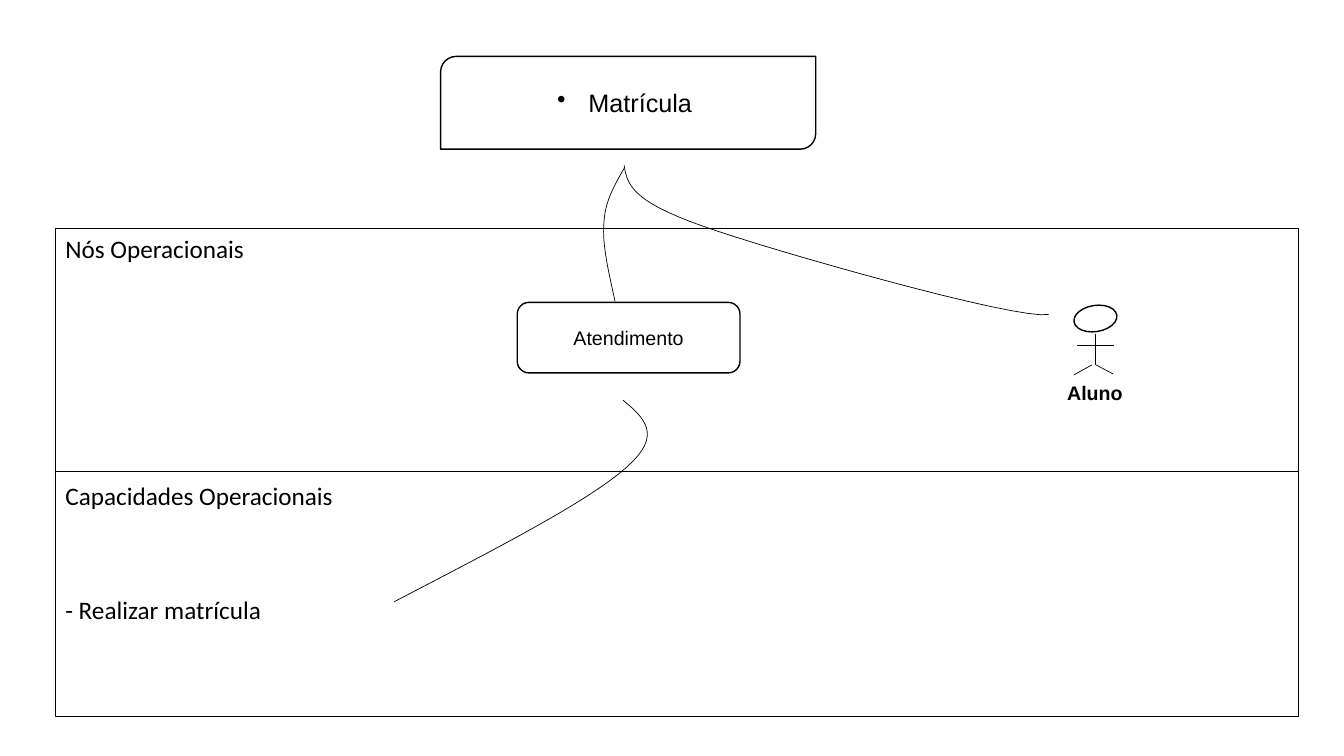
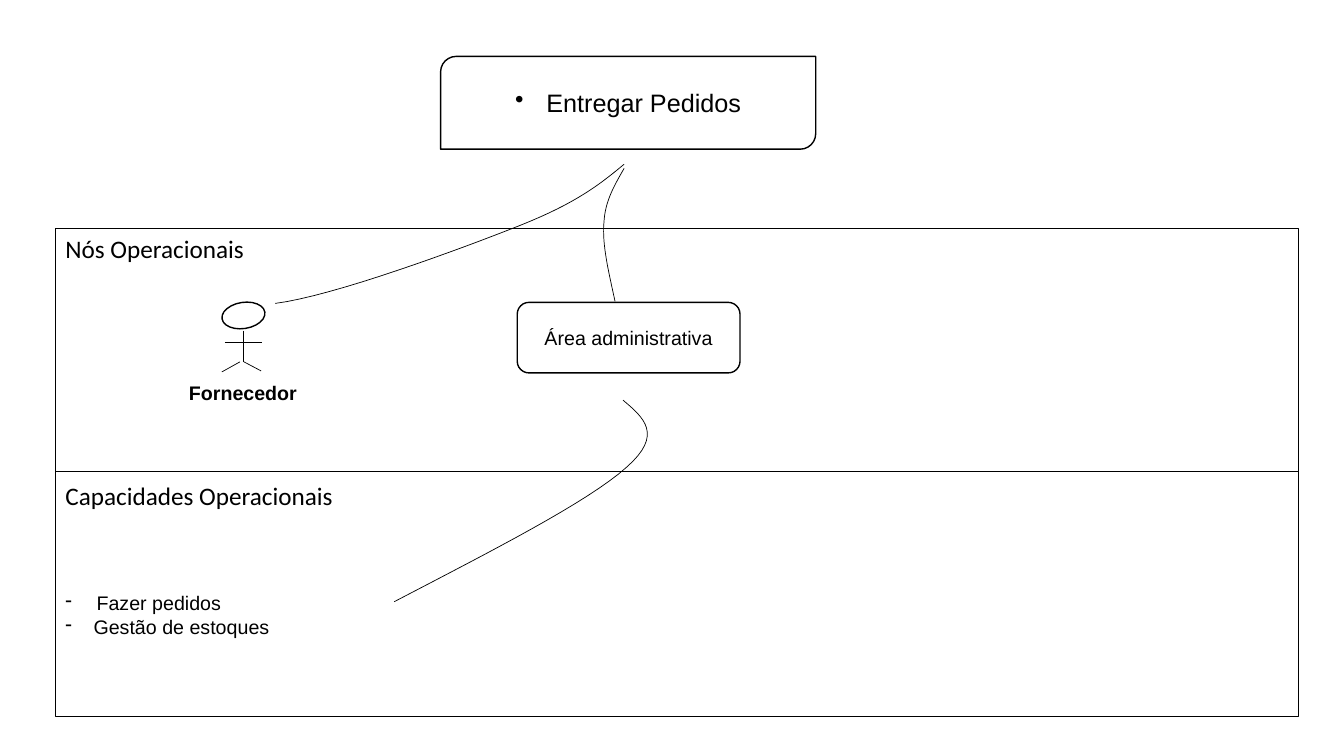
from lxml import etree
from pptx import Presentation
from pptx import util as u
from pptx.dml.color import RGBColor
from pptx.enum import shapes, text
from pptx.oxml.ns import qn

INK, PAPER = "000000", "FFFFFF"
THICK, THIN = 1, 0.5
CENTER, LEFT = text.PP_ALIGN.CENTER, text.PP_ALIGN.LEFT
MIDDLE, TOP = text.MSO_ANCHOR.MIDDLE, text.MSO_ANCHOR.TOP
KIND = shapes.MSO_SHAPE


def outline(sp, width, fill=None):
    """Black line, optional fill, no shadow."""
    sp.line.color.rgb = RGBColor.from_string(INK)
    sp.line.width = u.Pt(width)
    if isinstance(sp, type(None)) or not hasattr(sp, "fill"):
        etree.SubElement(sp._element.spPr, qn("a:effectLst"))
        return
    sp.shadow.inherit = False
    if fill:
        sp.fill.solid()
        sp.fill.fore_color.rgb = RGBColor.from_string(fill)
    else:
        sp.fill.background()


def write(sp, lines, size, font, align=LEFT, anchor=TOP, bold=False, wrap=True):
    """Fill a shape with lines of (text, bullet, indent in inches)."""
    tf = sp.text_frame
    tf.word_wrap = wrap
    tf.vertical_anchor = anchor
    for i, (line, bullet, indent) in enumerate(lines):
        p = tf.add_paragraph() if i else tf.paragraphs[0]
        p.text = line
        p.alignment = align
        f = p.runs[0].font
        f.size, f.name, f.bold = u.Pt(size), font, bold
        f.color.rgb = RGBColor.from_string(INK)
        if bullet:
            pPr = p._p.get_or_add_pPr()
            pPr.set("marL", str(u.Inches(indent)))
            pPr.set("indent", str(-u.Inches(indent)))
            etree.SubElement(pPr, qn("a:buChar")).set("char", bullet)


# Shared frame: two bands of equal size
BAND_X, BAND_W, BAND_H = 0.55, 12.33, 2.43
NODES_Y, SKILLS_Y = 2.27, 4.68

# Figure strokes, relative to the centre and top of the head
STROKES = [(0, 0.28, 0, 0.59), (-0.18, 0.4, 0.19, 0.4),
           (-0.21, 0.69, -0.03, 0.59), (0.01, 0.59, 0.18, 0.68)]

# Curves: start point, then two control points and an end for each segment
TO_NODE = [(6.19, 1.67), (6.1, 1.83), (6, 1.99), (5.99, 2.21),
           (5.97, 2.43), (6.04, 2.71), (6.1, 2.99)]
TO_SKILLS = [(6.18, 3.97), (6.38, 4.14), (6.59, 4.31), (6.21, 4.64),
             (5.83, 4.98), (4.87, 5.47), (3.91, 5.97)]
STEPS = 16

DIAGRAMS = [
    dict(activity="Matrícula ", node="Atendimento",
         actor="Aluno", actor_x=10.86, actor_y=3.03,
         skills=[("- Realizar matrícula", None, 0)],
         size=18, font="Calibri", drop=0.3,
         to_actor=[(6.19, 1.64), (6.22, 1.82), (6.25, 1.99), (6.96, 2.24),
                   (7.66, 2.49), (10.1, 3.18), (10.4, 3.12)]),
    dict(activity="Entregar Pedidos", node="Área administrativa",
         actor="Fornecedor", actor_x=2.41, actor_y=3,
         skills=[("Fazer pedidos", "-", 0.31), ("Gestão de estoques", "-", 0.28)],
         size=14, font="Arial", drop=0.41,
         to_actor=[(6.19, 1.63), (5.96, 1.82), (5.73, 2.01), (5.15, 2.24),
                   (4.57, 2.47), (3.3, 2.94), (2.73, 3.01)]),
]

prs = Presentation()
prs.slide_width, prs.slide_height = u.Inches(13.33), u.Inches(7.5)

for d in DIAGRAMS:
    s = prs.slides.add_slide(prs.slide_layouts[6])

    # Activity, bands and node
    boxes = [
        (KIND.ROUND_2_DIAG_RECTANGLE, (4.37, 0.56, 3.72, 0.92),
         [(d["activity"], "•", 0.31)], 18, "Arial", CENTER, MIDDLE),
        (KIND.RECTANGLE, (BAND_X, NODES_Y, BAND_W, BAND_H),
         [("Nós Operacionais", None, 0)], 18, "Calibri", LEFT, TOP),
        (KIND.RECTANGLE, (BAND_X, SKILLS_Y, BAND_W, BAND_H),
         d["skills"], d["size"], d["font"], LEFT, MIDDLE),
        (KIND.ROUNDED_RECTANGLE, (5.13, 3, 2.21, 0.7),
         [(d["node"], None, 0)], 14, "Arial", CENTER, MIDDLE),
    ]
    for kind, place, lines, size, font, align, anchor in boxes:
        sp = s.shapes.add_shape(kind, *map(u.Inches, place))
        outline(sp, THICK, PAPER)
        write(sp, lines, size, font, align, anchor)
        if lines is d["skills"]:
            sp.text_frame.margin_top = u.Inches(0.05 + d["drop"])

    # Actor
    x, y = d["actor_x"], d["actor_y"]
    figure = s.shapes.add_group_shape()
    head = figure.shapes.add_shape(
        KIND.OVAL, *map(u.Inches, (x - 0.21, y, 0.43, 0.26)))
    head.rotation = 351.1
    outline(head, THICK, PAPER)
    for x1, y1, x2, y2 in STROKES:
        stroke = figure.shapes.add_connector(
            shapes.MSO_CONNECTOR.STRAIGHT,
            *map(u.Inches, (x + x1, y + y1, x + x2, y + y2)))
        outline(stroke, THIN)

    # Labels
    label = s.shapes.add_textbox(*map(u.Inches, (x - 0.64, 3.73, 1.28, 0.34)))
    write(label, [(d["actor"], None, 0)], 14, "Arial", CENTER, bold=True)
    label = s.shapes.add_textbox(*map(u.Inches, (BAND_X, 4.72, 2.88, 0.4)))
    write(label, [("Capacidades Operacionais", None, 0)], 18, "Calibri", wrap=False)

    # Curved links
    for curve in (d["to_actor"], TO_NODE, TO_SKILLS):
        points = [curve[0]]
        for k in range(0, len(curve) - 1, 3):
            a, b, c, e = curve[k:k + 4]
            for n in range(1, STEPS + 1):
                t = n / STEPS
                v = 1 - t
                points.append([v**3 * a[i] + 3 * v * v * t * b[i]
                               + 3 * v * t * t * c[i] + t**3 * e[i] for i in (0, 1)])
        points = [(u.Inches(px), u.Inches(py)) for px, py in points]
        path = s.shapes.build_freeform(*points[0])
        path.add_line_segments(points[1:], close=False)
        outline(path.convert_to_shape(), THIN)

prs.save("out.pptx")
